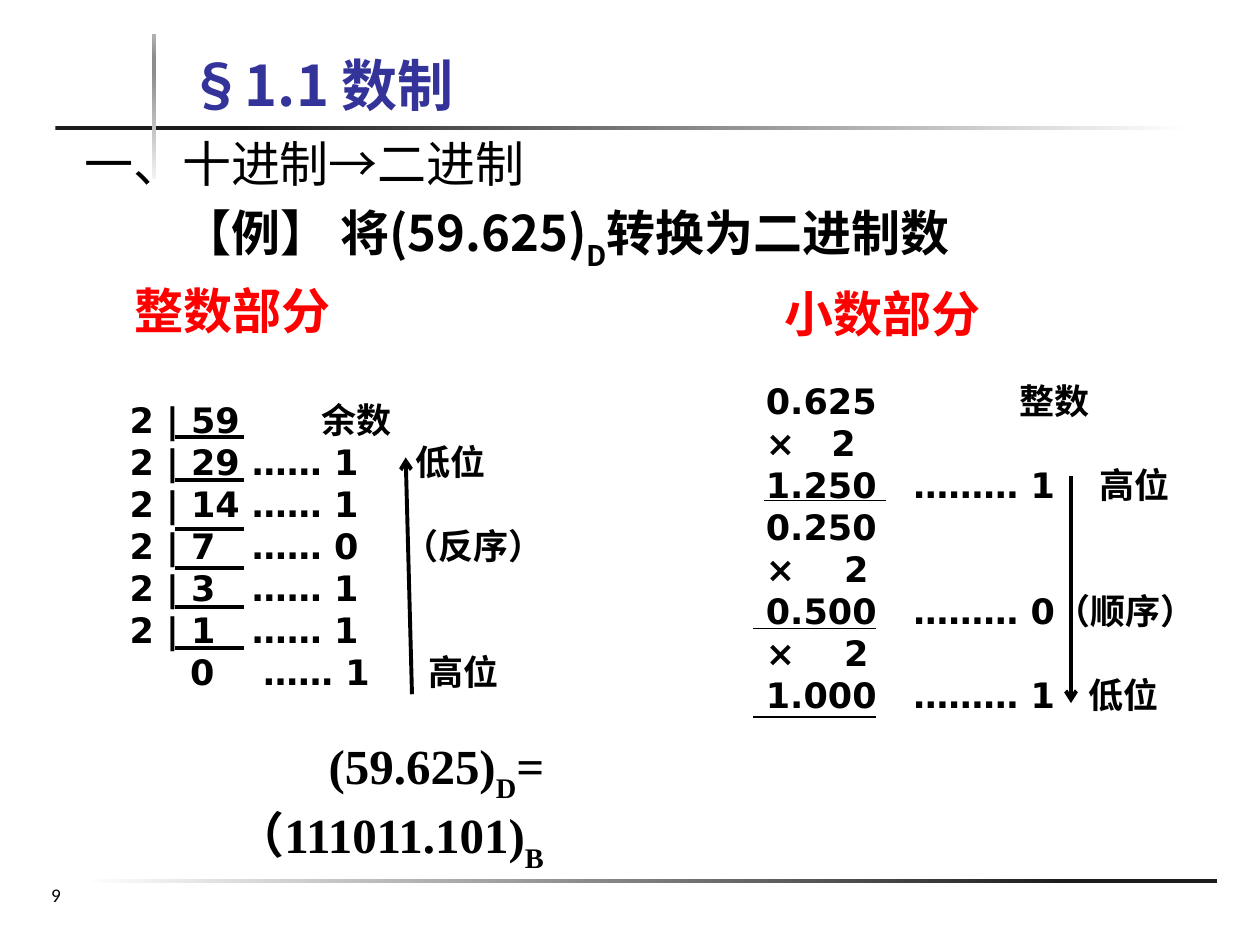
from dataclasses import dataclass
from typing import Any, NamedTuple

import lxml.etree
import pptx
import pptx.dml.color
import pptx.enum.shapes
import pptx.enum.text
import pptx.oxml.ns
import pptx.util

RGBColor = pptx.dml.color.RGBColor
Align = pptx.enum.text.PP_ALIGN
Anchor = pptx.enum.text.MSO_ANCHOR
qn = pptx.oxml.ns.qn

BLACK = RGBColor(0x00, 0x00, 0x00)
RED = RGBColor(0xFF, 0x00, 0x00)
NAVY = RGBColor(0x33, 0x33, 0x99)
INK = RGBColor(0x1C, 0x1C, 0x1C)
WHITE = RGBColor(0xFF, 0xFF, 0xFF)
PALE = RGBColor(0xF2, 0xF2, 0xF2)
GRAY = RGBColor(0x8C, 0x8C, 0x8C)
SILVER = RGBColor(0xB2, 0xB2, 0xB2)

CJK = "Noto Sans CJK SC"
SANS = "DejaVu Sans"
SERIF = "Times New Roman"

WIDTH = pptx.util.Inches(10)
HEIGHT = pptx.util.Inches(7.5)
COLUMN = WIDTH / 100
ROW = HEIGHT / 75


class Area(NamedTuple):
    left: float
    top: float
    width: float
    height: float

    def lengths(self) -> tuple[int, ...]:
        units = (COLUMN, ROW, COLUMN, ROW)
        return tuple(round(size * unit) for size, unit in zip(self, units))


class Cell(NamedTuple):
    column: float
    text: str


class Stroke(NamedTuple):
    start: tuple[float, float]
    end: tuple[float, float]
    weight: float = 2.25
    arrow: bool = False


@dataclass
class Rule:
    area: Area
    stops: list[tuple[int, RGBColor]]
    angle: int = 0


@dataclass
class Working:
    area: Area
    rows: list[list[Cell]]
    strokes: list[Stroke]
    align: Any = Align.LEFT


RULES = [
    Rule(Area(6.6, 69.8, 90, 0.3), [(0, WHITE), (87, INK)]),
    Rule(Area(4.4, 10, 90, 0.3), [(16, INK), (100, WHITE)]),
    Rule(Area(12.1, 2.7, 0.3, 11.5),
         [(0, PALE), (74, GRAY), (83, GRAY), (100, SILVER)], angle=90),
]

INTEGER_PART = Working(
    Area(9.3, 31.1, 39.1, 24.6),
    [
        [Cell(0, "2 | 59"), Cell(15.2, "余数")],
        [Cell(0, "2 | 29"), Cell(9.7, "…… 1"), Cell(22.7, "低位")],
        [Cell(0, "2 | 14"), Cell(9.7, "…… 1")],
        [Cell(0, "2 | 7"), Cell(9.7, "…… 0"), Cell(21.7, "（反序）")],
        [Cell(0, "2 | 3"), Cell(9.7, "…… 1")],
        [Cell(0, "2 | 1"), Cell(9.7, "…… 1")],
        [Cell(4.8, "0"), Cell(10.6, "…… 1"), Cell(23.7, "高位")],
    ],
    [Stroke((13.9, row), (19.4, row)) for row in (34.7, 38.1, 42, 45.1, 48.2, 51.4)]
    + [Stroke((32.7, 55.1), (32.2, 36.3), arrow=True)],
)

FRACTION_PART = Working(
    Area(59.8, 29.6, 37.5, 33.6),
    [
        [Cell(0, "0.625"), Cell(20.1, "整数")],
        [Cell(0, "×"), Cell(5.2, "2")],
        [Cell(0, "1.250"), Cell(11.7, "……… 1"), Cell(26.5, "高位")],
        [Cell(0, "0.250")],
        [Cell(0, "×"), Cell(6.2, "2")],
        [Cell(0, "0.500"), Cell(11.7, "……… 0（顺序）")],
        [Cell(0, "×"), Cell(6.2, "2")],
        [Cell(0, "1.000"), Cell(11.7, "……… 1"), Cell(25.6, "低位")],
    ],
    [Stroke((column, row), (column + 9.7, row), weight=0.75)
     for column, row in ((60.6, 39.7), (59.8, 49.9), (59.8, 56.9))]
    + [Stroke((85, 37.8), (85, 55.8), arrow=True)],
    align=Align.JUSTIFY,
)


def add_span(para: Any, text: str, *, font: str, size: float, color: RGBColor,
             bold: bool, lowered: bool = False) -> None:
    span = para.add_run()
    span.text = text
    span.font.name = font
    span.font.size = pptx.util.Pt(size)
    span.font.bold = bold
    span.font.color.rgb = color
    properties = span._r.get_or_add_rPr()
    lxml.etree.SubElement(properties, qn("a:ea")).set("typeface", CJK)
    if lowered:
        properties.set("baseline", "-30000")


def add_text(shapes: Any, area: Area, text: str, *, font: str = CJK, size: float = 28,
             color: RGBColor = BLACK, bold: bool = True, align: Any = Align.LEFT,
             anchor: Any = Anchor.TOP, indent: float = 0, wrap: bool = True,
             grow: bool = False) -> None:
    box = shapes.add_textbox(*area.lengths())
    frame = box.text_frame
    frame.word_wrap = wrap
    frame.vertical_anchor = anchor
    if grow:
        frame.auto_size = pptx.enum.text.MSO_AUTO_SIZE.SHAPE_TO_FIT_TEXT
    para = frame.paragraphs[0]
    para.alignment = align
    para._p.get_or_add_pPr().set("indent", str(round(indent * COLUMN)))
    for number, line in enumerate(text.split("\n")):
        if number:
            para.add_line_break()
        for index, part in enumerate(line.split("_")):
            if part:
                add_span(para, part, font=font, size=size, color=color, bold=bold,
                         lowered=index % 2 == 1)


def add_rule(shapes: Any, rule: Rule) -> None:
    bar = shapes.add_shape(pptx.enum.shapes.MSO_SHAPE.RECTANGLE, *rule.area.lengths())
    bar.shadow.inherit = False
    bar.line.fill.background()
    bar.fill.gradient()
    bar.fill.gradient_angle = rule.angle
    stops = bar._element.spPr.find(".//" + qn("a:gsLst"))
    for stop in list(stops):
        stops.remove(stop)
    for position, color in rule.stops:
        stop = lxml.etree.SubElement(stops, qn("a:gs"), pos=str(position * 1000))
        lxml.etree.SubElement(stop, qn("a:srgbClr"), val=str(color))


def add_stroke(shapes: Any, stroke: Stroke) -> None:
    ends = Area(*stroke.start, *stroke.end).lengths()
    connector = shapes.add_connector(pptx.enum.shapes.MSO_CONNECTOR.STRAIGHT, *ends)
    connector.line.color.rgb = BLACK
    connector.line.width = pptx.util.Pt(stroke.weight)
    if stroke.arrow:
        outline = connector.line._get_or_add_ln()
        lxml.etree.SubElement(outline, qn("a:tailEnd"), type="arrow")
    lxml.etree.SubElement(connector._element.spPr, qn("a:effectLst"))


def add_working(shapes: Any, working: Working) -> None:
    group = shapes.add_group_shape()
    frame = group.shapes.add_textbox(*working.area.lengths()).text_frame
    frame.word_wrap = True
    for number, cells in enumerate(working.rows):
        para = frame.add_paragraph() if number else frame.paragraphs[0]
        para.alignment = working.align
        para.line_spacing = pptx.util.Pt(24)
        stops = [cell.column for cell in cells if cell.column]
        if stops:
            tabs = lxml.etree.SubElement(para._p.get_or_add_pPr(), qn("a:tabLst"))
            for column in stops:
                lxml.etree.SubElement(tabs, qn("a:tab"), pos=str(round(column * COLUMN)),
                                      algn="l")
        text = "".join(("\t" if cell.column else "") + cell.text for cell in cells)
        add_span(para, text, font=SANS, size=20, color=BLACK, bold=True)
    for stroke in working.strokes:
        add_stroke(group.shapes, stroke)


def main() -> None:
    deck = pptx.Presentation()
    deck.slide_width = WIDTH
    deck.slide_height = HEIGHT
    page = deck.slides.add_slide(deck.slide_layouts[6])
    shapes = page.shapes
    for rule in RULES:
        add_rule(shapes, rule)
    add_text(shapes, Area(14, 3.4, 76.1, 6.4), "§1.1 数制", size=32, color=NAVY,
             anchor=Anchor.BOTTOM)
    add_text(shapes, Area(10.6, 16, 69.3, 5.7), "【例】 将(59.625)_D_转换为二进制数",
             anchor=Anchor.MIDDLE, indent=2.9, grow=True)
    add_working(shapes, INTEGER_PART)
    add_text(shapes, Area(9.7, 21.8, 19.6, 5.7), "整数部分", color=RED, grow=True)
    add_text(shapes, Area(61.3, 22, 19.6, 5.7), "小数部分", color=RED, grow=True)
    add_working(shapes, FRACTION_PART)
    add_text(shapes, Area(17.7, 61, 52.5, 5.7), "(59.625)_D_=\n（111011.101)_B",
             font=SERIF, anchor=Anchor.MIDDLE, indent=7.4, grow=True)
    add_text(shapes, Area(5.7, 10, 72.5, 5.8), "一、十进制→二进制", bold=False,
             anchor=Anchor.MIDDLE)
    add_text(shapes, Area(0, 69.6, 8.9, 3.8), "9", font="Calibri", size=11, bold=False,
             align=Align.CENTER)
    deck.save("out.pptx")


if __name__ == "__main__":
    main()
